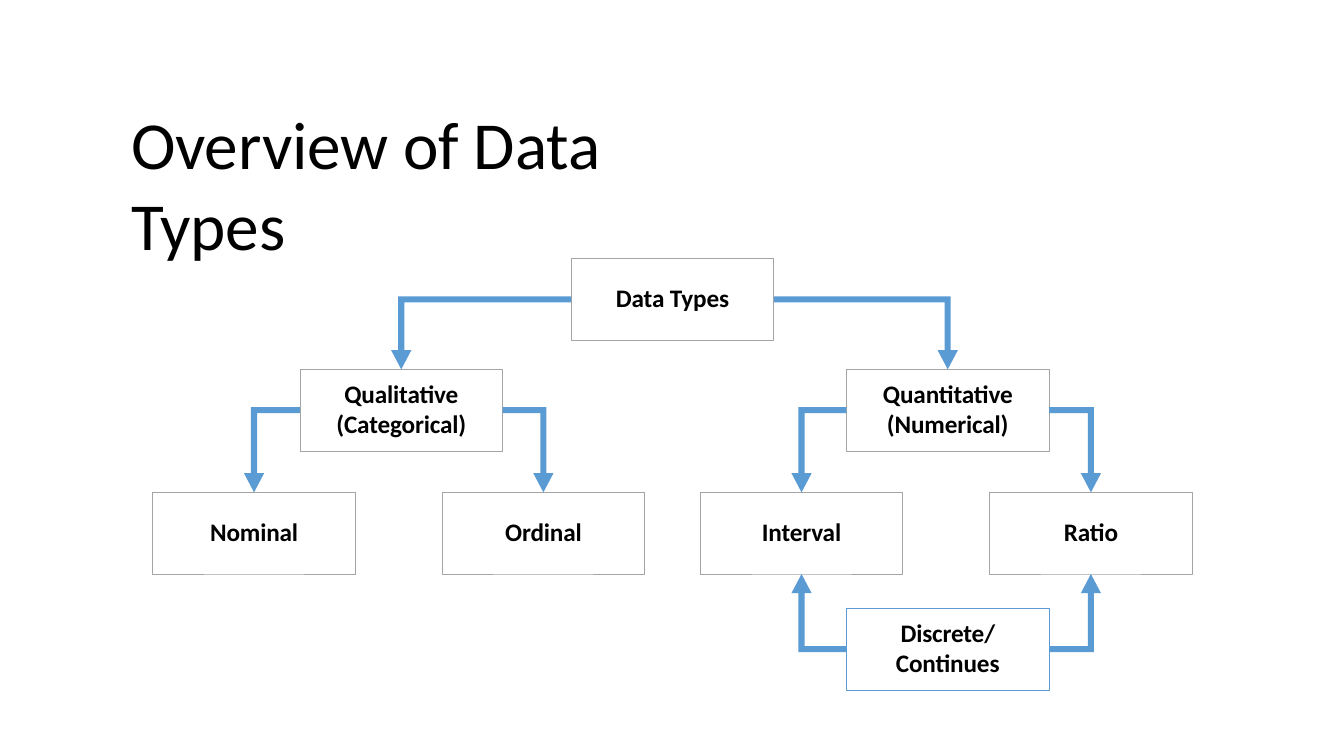
from pptx import Presentation
from pptx import util as u
from pptx.dml.color import RGBColor
from pptx.enum import shapes, text

BLACK = RGBColor(0x00, 0x00, 0x00)
GREY = RGBColor(0xA4, 0xA4, 0xA4)
BLUE = RGBColor(0x5B, 0x9B, 0xD4)

COLS = [1.0, 2.46, 3.87, 5.15, 6.43, 7.88, 9.3]
ROWS = [0.4, 1.5, 2.72, 3.87]
NODE_W, NODE_H = 2.01, 0.81
STEM, HEAD_W, HEAD_L = 0.03, 0.1, 0.19

NODES = {
    "Data Types": (3, 0, GREY),
    "Qualitative (Categorical)": (1, 1, GREY),
    "Quantitative (Numerical)": (5, 1, GREY),
    "Nominal": (0, 2, GREY),
    "Ordinal": (2, 2, GREY),
    "Interval": (4, 2, GREY),
    "Ratio": (6, 2, GREY),
    "Discrete/ Continues": (5, 3, BLUE),
}
BRANCHES = {
    "Data Types": ("Qualitative (Categorical)", "Quantitative (Numerical)"),
    "Qualitative (Categorical)": ("Nominal", "Ordinal"),
    "Quantitative (Numerical)": ("Interval", "Ratio"),
    "Discrete/ Continues": ("Interval", "Ratio"),
}


def write(sp, words, align, frame, font):
    """Put one formatted paragraph into a shape."""
    tf = sp.text_frame
    for name, value in {"word_wrap": True, **frame}.items():
        setattr(tf, name, value)
    p = tf.paragraphs[0]
    p.alignment = align
    r = p.add_run()
    r.text = words
    for name, value in {"name": "Calibri", **font}.items():
        setattr(r.font, name, value)
    r.font.color.rgb = BLACK
    r._r.get_or_add_rPr().set("spc", "-10")


def add_title(slide, box):
    """Place the slide title in its box."""
    sp = slide.shapes.add_textbox(*map(u.Inches, box))
    frame = {"vertical_anchor": text.MSO_ANCHOR.TOP,
             "margin_top": u.Inches(0.02), "margin_bottom": 0,
             "margin_left": u.Inches(0.01), "margin_right": 0}
    write(sp, "Overview of Data Types", text.PP_ALIGN.LEFT, frame,
          {"size": u.Pt(48)})


def add_node(slide, words, x, y, color):
    """Draw a labelled rectangle centred on a point."""
    sp = slide.shapes.add_shape(
        shapes.MSO_SHAPE.RECTANGLE, u.Inches(x - NODE_W / 2),
        u.Inches(y - NODE_H / 2), u.Inches(NODE_W), u.Inches(NODE_H))
    sp.shadow.inherit = False
    sp.fill.background()
    sp.line.color.rgb = color
    sp.line.width = u.Pt(0.48)
    frame = {"vertical_anchor": text.MSO_ANCHOR.MIDDLE,
             "margin_top": 0, "margin_bottom": u.Inches(0.04),
             "margin_left": u.Inches(0.3), "margin_right": u.Inches(0.3)}
    write(sp, words, text.PP_ALIGN.CENTER, frame,
          {"size": u.Pt(18), "bold": True})


def elbow_points(start, end):
    """Outline a block arrow from one node's side to another node's edge."""
    dx = 1 if end[0] > start[0] else -1
    dy = 1 if end[1] > start[1] else -1
    x0, y = start[0] + dx * NODE_W / 2, start[1]
    x, tip = end[0], end[1] - dy * NODE_H / 2
    neck = tip - dy * HEAD_L
    outer, inner = x + dx * STEM, x - dx * STEM
    points = [(x0, y - dy * STEM), (outer, y - dy * STEM), (outer, neck),
              (x + dx * HEAD_W, neck), (x, tip), (x - dx * HEAD_W, neck),
              (inner, neck), (inner, y + dy * STEM), (x0, y + dy * STEM)]
    return [(u.Inches(px), u.Inches(py)) for px, py in points]


def add_arrows(slide, centres):
    """Draw all the branch arrows as one shape."""
    outlines = [elbow_points(centres[parent], centres[child])
                for parent, children in BRANCHES.items() for child in children]
    builder = slide.shapes.build_freeform(*outlines[0][0])
    for i, points in enumerate(outlines):
        if i:
            builder.move_to(*points[0])
        builder.add_line_segments(points[1:], close=True)
    sp = builder.convert_to_shape()
    sp.shadow.inherit = False
    sp.fill.solid()
    sp.fill.fore_color.rgb = BLUE
    sp.line.fill.background()


def add_tree(slide, box):
    """Lay out the data type tree from the top left of its box."""
    left, top = box
    centres = {}
    for words, (col, row, color) in NODES.items():
        centres[words] = left + COLS[col], top + ROWS[row]
        add_node(slide, words, *centres[words], color)
    add_arrows(slide, centres)


def main():
    """Build the slide and save it."""
    prs = Presentation()
    prs.slide_width, prs.slide_height = u.Inches(13.33), u.Inches(7.5)
    slide = prs.slides.add_slide(prs.slide_layouts[6])
    add_tree(slide, (1.52, 2.57))
    add_title(slide, (1.29, 1, 6.3, 0.83))
    prs.save("out.pptx")


if __name__ == "__main__":
    main()
